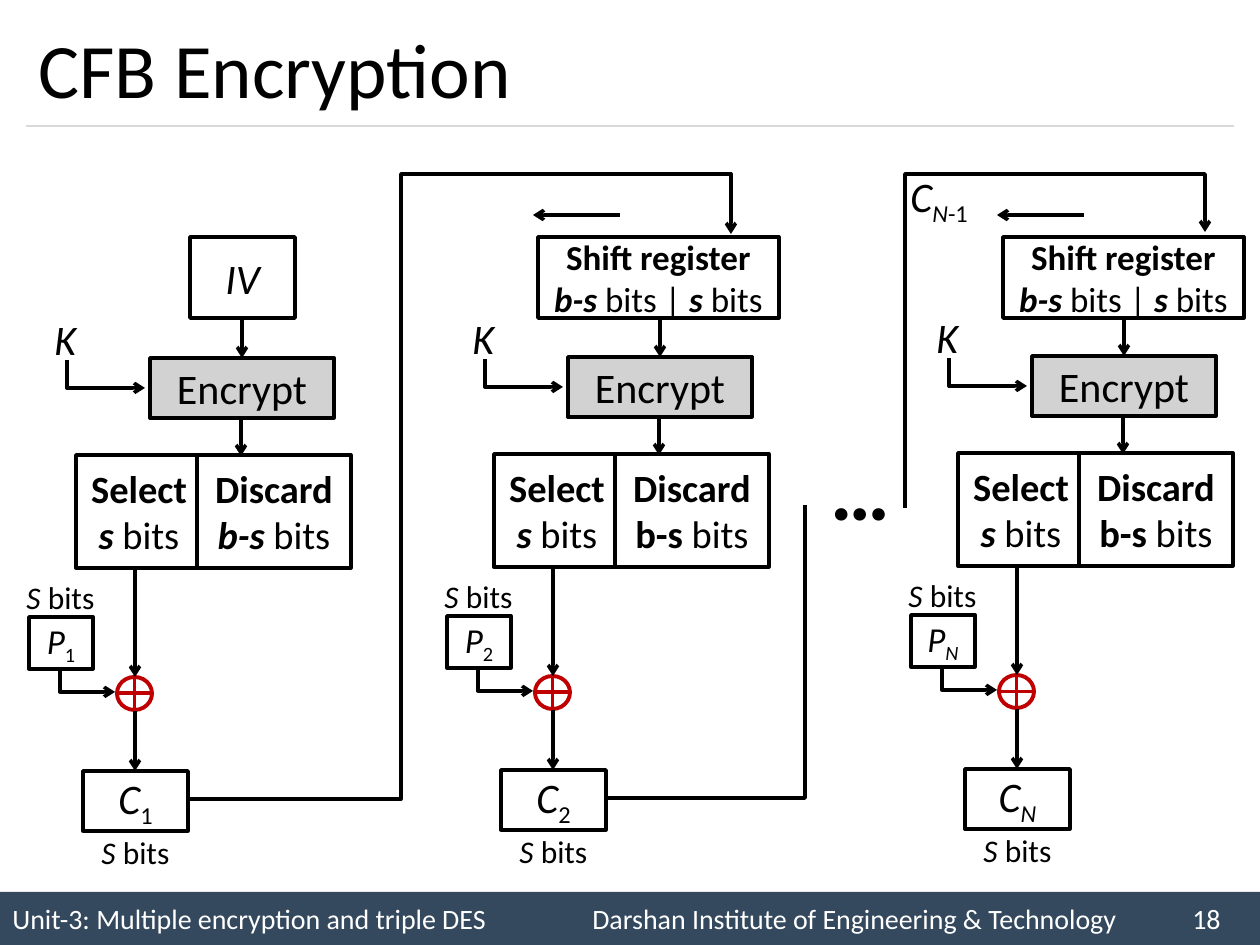
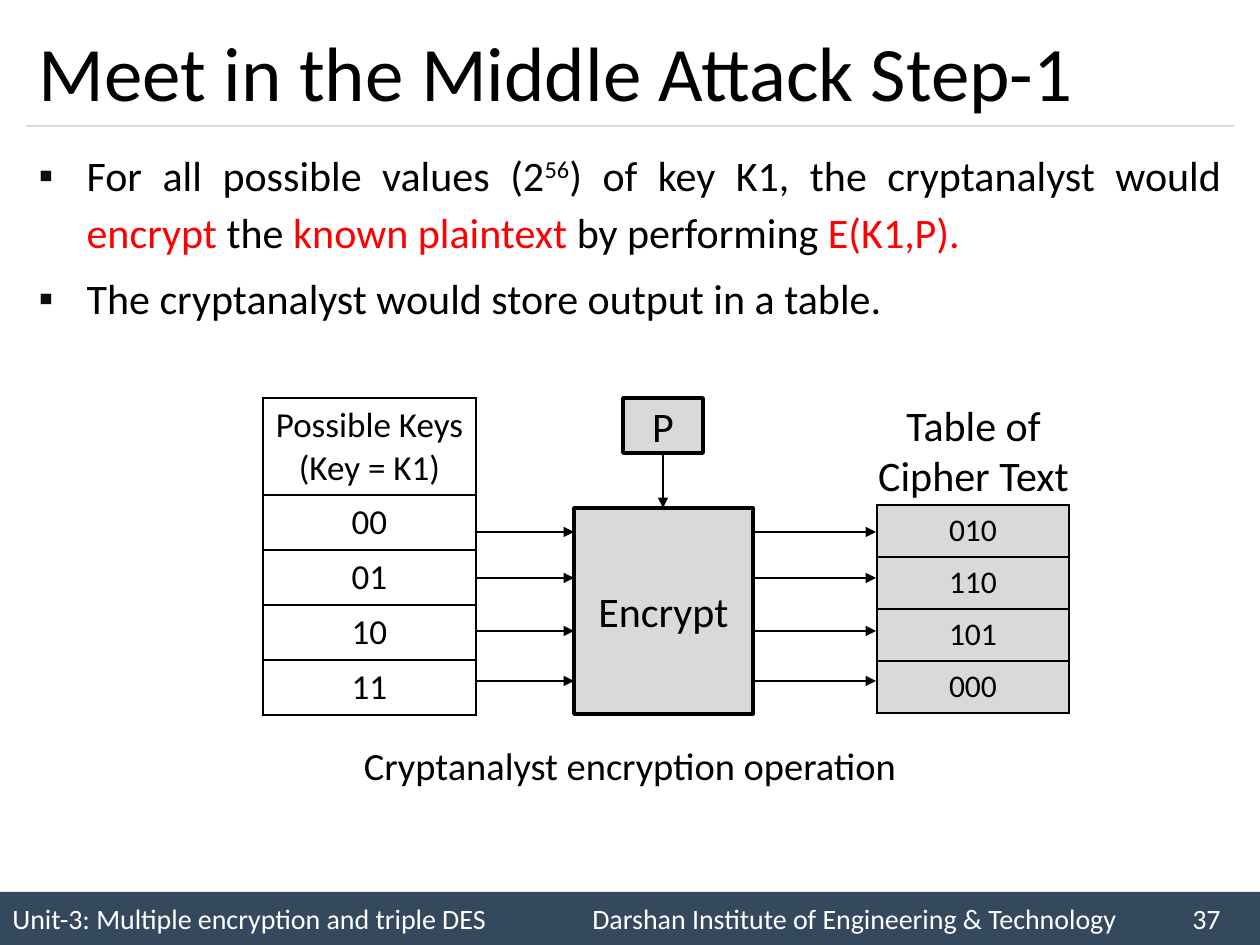
from lxml import etree
from pptx import Presentation
from pptx.dml.color import RGBColor
from pptx.enum.shapes import MSO_CONNECTOR, MSO_SHAPE
from pptx.enum.text import MSO_ANCHOR, MSO_AUTO_SIZE, PP_ALIGN
from pptx.oxml.ns import qn
from pptx.util import Pt

SCALE = 914400 / 126
FONT = "Calibri"
BLACK, WHITE, RED = "000000", "FFFFFF", "FF0000"
NAVY, RULE, CRIMSON = "34495E", "D9D9D9", "C00000"
CIPHER_GREY, ATTACK_GREY = "D3D2D2", "D9D9D9"
RECT, XOR = MSO_SHAPE.RECTANGLE, MSO_SHAPE.FLOWCHART_OR
STRAIGHT = MSO_CONNECTOR.STRAIGHT
LEFT, CENTER, JUSTIFY = PP_ALIGN.LEFT, PP_ALIGN.CENTER, PP_ALIGN.JUSTIFY
TOP, MIDDLE = MSO_ANCHOR.TOP, MSO_ANCHOR.MIDDLE
NO_FIT = MSO_AUTO_SIZE.NONE
rgb = RGBColor.from_string


def write(frame, lines, size, align=LEFT, colour=BLACK):
    # style letters: b bold, i italic, r red, _ subscript, ^ superscript
    for index, line in enumerate(lines):
        para = frame.add_paragraph() if index else frame.paragraphs[0]
        para.alignment = align
        for text, style in line:
            span = para.add_run()
            span.text = text
            span.font.name = FONT
            span.font.size = Pt(size)
            span.font.bold = "b" in style
            span.font.italic = "i" in style
            span.font.color.rgb = rgb(RED if "r" in style else colour)
            if "_" in style or "^" in style:
                span.font._element.set("baseline", "-25000" if "_" in style else "30000")


def draw_path(page, points, head=None, width=2, colour=BLACK):
    scaled = [(round(x * SCALE), round(y * SCALE)) for x, y in points]
    if len(points) == 2:
        path = page.shapes.add_connector(STRAIGHT, *scaled[0], *scaled[1])
    else:
        builder = page.shapes.build_freeform(*scaled[0], scale=1.0)
        builder.add_line_segments(scaled[1:], close=False)
        path = builder.convert_to_shape()
        path.fill.background()
    path.line.width = Pt(width)
    path.line.color.rgb = rgb(colour)
    properties = path.element.spPr
    if head:
        etree.SubElement(properties.find(qn("a:ln")), qn("a:tailEnd"), type=head)
    etree.SubElement(properties, qn("a:effectLst"))


deck = Presentation()
deck.slide_width = round(1260 * SCALE)
deck.slide_height = round(945 * SCALE)

bits_label = [("S ", "i"), ("bits", "")]
select_text = [("Select ", "b"), ("s", "bi"), (" bits", "")]
register_text = [("Shift register ", "b"), ("b-s", "bi"), (" bits | ", ""),
                 ("s", "bi"), (" bits", "")]
stages = [
    (0, "1", "_", "bi", (190, 105), [("IV", "i")], 24),
    (418, "2", "_", "b", (538, 241), register_text, 20),
    (882, "N", "i_", "b", (1003, 241), register_text, 20),
]
cfb_boxes, cfb_paths = [], []
for index, (x, number, number_style, discard_style, top, top_text, top_size) in enumerate(stages):
    cfb_boxes += [
        (RECT, top[0], 237, top[1], 81, WHITE, top_size, top_text),
        (RECT, x + 150, 358 - index, 184, 60, CIPHER_GREY, 24, [("Encrypt", "")]),
        (None, x + 42, 307 - index, 49, 63, None, 24, [("K", "i")]),
        (XOR, x + 117, 677 - index, 35, 33, WHITE, 24, []),
        (RECT, x + 76, 455 - index, 126, 113, WHITE, 22, select_text),
        (RECT, x + 197, 455 - index, 154, 113, WHITE, 22,
         [("Discard ", "b"), ("b-s", discard_style), (" bits", "")]),
        (RECT, x + 29, 617 - index, 64, 52, WHITE, 20, [("P", "i"), (number, number_style)]),
        (None, x + 14, 572 - index, 95, 50, None, 18, bits_label),
        (RECT, x + 83, 771 - index, 105, 60, WHITE, 24, [("C", "i"), (number, number_style)]),
        (None, x + 89, 827 - index, 95, 50, None, 18, bits_label),
    ]
    for points in [
        [(67, 360), (67, 388), (145, 388)],
        [(242, 318), (242, 358)],
        [(241, 419), (241, 456)],
        [(135, 569), (135, 677)],
        [(60, 668), (60, 692), (115, 692)],
        [(135, 711), (135, 771)],
    ]:
        cfb_paths.append(([(x + px, py - index) for px, py in points], "arrow", 2))
    if index:
        cfb_paths.append(([(x + 202, 215), (x + 115, 215)], "arrow", 2))
cfb_boxes += [
    (None, 818, 430, 89, 115, None, 48, [("…", "b")]),
    (None, 898, 164, 89, 63, None, 24, [("C", "i"), ("N", "i_"), ("-1", "_")]),
]
cfb_paths += [
    ([(187, 799), (401, 799), (401, 174), (731, 174), (731, 234)], "arrow", 2),
    ([(606, 798), (805, 798), (805, 505)], None, 2),
    ([(905, 508), (905, 174), (1205, 174), (1205, 232)], "arrow", 2),
]

attack_boxes = [
    (RECT, 574, 508, 179, 206, ATTACK_GREY, 24, [("Encrypt", "")]),
    (RECT, 623, 398, 80, 55, ATTACK_GREY, 24, [("P", "")]),
    (None, 857, 393, 233, 115, None, 24, [("Table of Cipher Text", "")]),
    (None, 350, 736, 560, 59, None, 22, [("Cryptanalyst encryption operation", "")]),
]
attack_paths = [([(663, 453), (663, 508)], "triangle", 1.5)]
for y in (532, 578, 631, 681):
    for start, end in ((477, 574), (753, 876)):
        attack_paths.append(([(start, y), (end, y)], "triangle", 1.5))

slides = [
    ("CFB Encryption", "18", 5, TOP, cfb_boxes, cfb_paths),
    ("Meet in the Middle Attack Step-1", "37", 1, MIDDLE, attack_boxes, attack_paths),
]
for title_text, number, layout, title_anchor, boxes, paths in slides:
    page = deck.slides.add_slide(deck.slide_layouts[layout])

    footer = page.shapes.add_shape(RECT, 0, round(892 * SCALE), deck.slide_width, round(53 * SCALE))
    footer.shadow.inherit = False
    footer.fill.solid()
    footer.fill.fore_color.rgb = rgb(NAVY)
    footer.line.fill.background()
    footer_text = ("Unit-3: Multiple encryption and triple DES\t"
                   f"Darshan Institute of Engineering & Technology\t{number}")
    write(footer.text_frame, [[(footer_text, "")]], 16, LEFT, WHITE)
    tabs = etree.SubElement(footer.text_frame.paragraphs[0]._p.get_or_add_pPr(), qn("a:tabLst"))
    for stop in (580, 1180):
        etree.SubElement(tabs, qn("a:tab"), pos=str(round(stop * SCALE)), algn="l")
    draw_path(page, [(26, 126), (1234, 126)], None, 0.75, RULE)

    title = page.shapes.title
    title.left, title.top, title.width, title.height = [
        round(length * SCALE) for length in (26, 15, 1208, 111)]
    title.text_frame.auto_size = NO_FIT
    title.text_frame.vertical_anchor = title_anchor
    write(title.text_frame, [[(title_text, "")]], 44)

    for kind, left, top, width, height, fill, size, spans in boxes:
        bounds = [round(length * SCALE) for length in (left, top, width, height)]
        if kind is None:
            box = page.shapes.add_textbox(*bounds)
            box.text_frame.vertical_anchor = TOP
        else:
            box = page.shapes.add_shape(kind, *bounds)
            box.shadow.inherit = False
            box.fill.solid()
            box.fill.fore_color.rgb = rgb(fill)
            box.line.color.rgb = rgb(CRIMSON if kind == XOR else BLACK)
            box.line.width = Pt(2.25 if kind == XOR else 2)
            box.text_frame.vertical_anchor = MIDDLE
        box.text_frame.word_wrap = width > 100
        write(box.text_frame, [spans], size, LEFT if kind is None and width < 100 else CENTER)
    for points, head, line_width in paths:
        draw_path(page, points, head, line_width)

body = page.placeholders[1]
body.left, body.top, body.width, body.height = [
    round(length * SCALE) for length in (26, 136, 1208, 207)]
body.text_frame.auto_size = NO_FIT
write(body.text_frame, [
    [("For all possible values (2", ""), ("56", "^"),
     (") of key K1, the cryptanalyst would ", ""), ("encrypt", "r"), (" the ", ""),
     ("known plaintext ", "r"), ("by performing ", ""), ("E(K1,P).", "r")],
    [("The cryptanalyst would store output in a table.", "")],
], 24, JUSTIFY)
for index, para in enumerate(body.text_frame.paragraphs):
    properties = para._p.get_or_add_pPr()
    properties.set("marL", str(round(48 * SCALE)))
    properties.set("indent", str(round(-48 * SCALE)))
    bullet_colour = etree.SubElement(properties, qn("a:buClr"))
    etree.SubElement(bullet_colour, qn("a:srgbClr"), val="0D0D0D")
    etree.SubElement(properties, qn("a:buChar"), char="▪")
    para.line_spacing = 1.14
    para.space_before = Pt(4.8 if index else 0)

keys = [["Possible Keys", "(Key = K1)"], ["00"], ["01"], ["10"], ["11"]]
ciphers = [["010"], ["110"], ["101"], ["000"]]
for rows, left, top, width, heights, size, fill in [
    (keys, 263, 398, 213, [97] + [55] * 4, 20, WHITE),
    (ciphers, 877, 505, 192, [52] * 4, 18, ATTACK_GREY),
]:
    bounds = [round(length * SCALE) for length in (left, top, width, sum(heights))]
    table = page.shapes.add_table(len(rows), 1, *bounds).table
    table.first_row = False
    table.horz_banding = False
    for index, lines in enumerate(rows):
        table.rows[index].height = round(heights[index] * SCALE)
        cell = table.cell(index, 0)
        cell.vertical_anchor = MIDDLE
        cell.margin_left = cell.margin_right = round(6 * SCALE)
        write(cell.text_frame, [[(text, "")] for text in lines], size, CENTER)
        properties = cell._tc.get_or_add_tcPr()
        for side in ("a:lnL", "a:lnR", "a:lnT", "a:lnB"):
            border = etree.SubElement(properties, qn(side), w=str(Pt(1)))
            paint = etree.SubElement(border, qn("a:solidFill"))
            etree.SubElement(paint, qn("a:srgbClr"), val=BLACK)
        cell.fill.solid()
        cell.fill.fore_color.rgb = rgb(fill)

deck.save("out.pptx")
